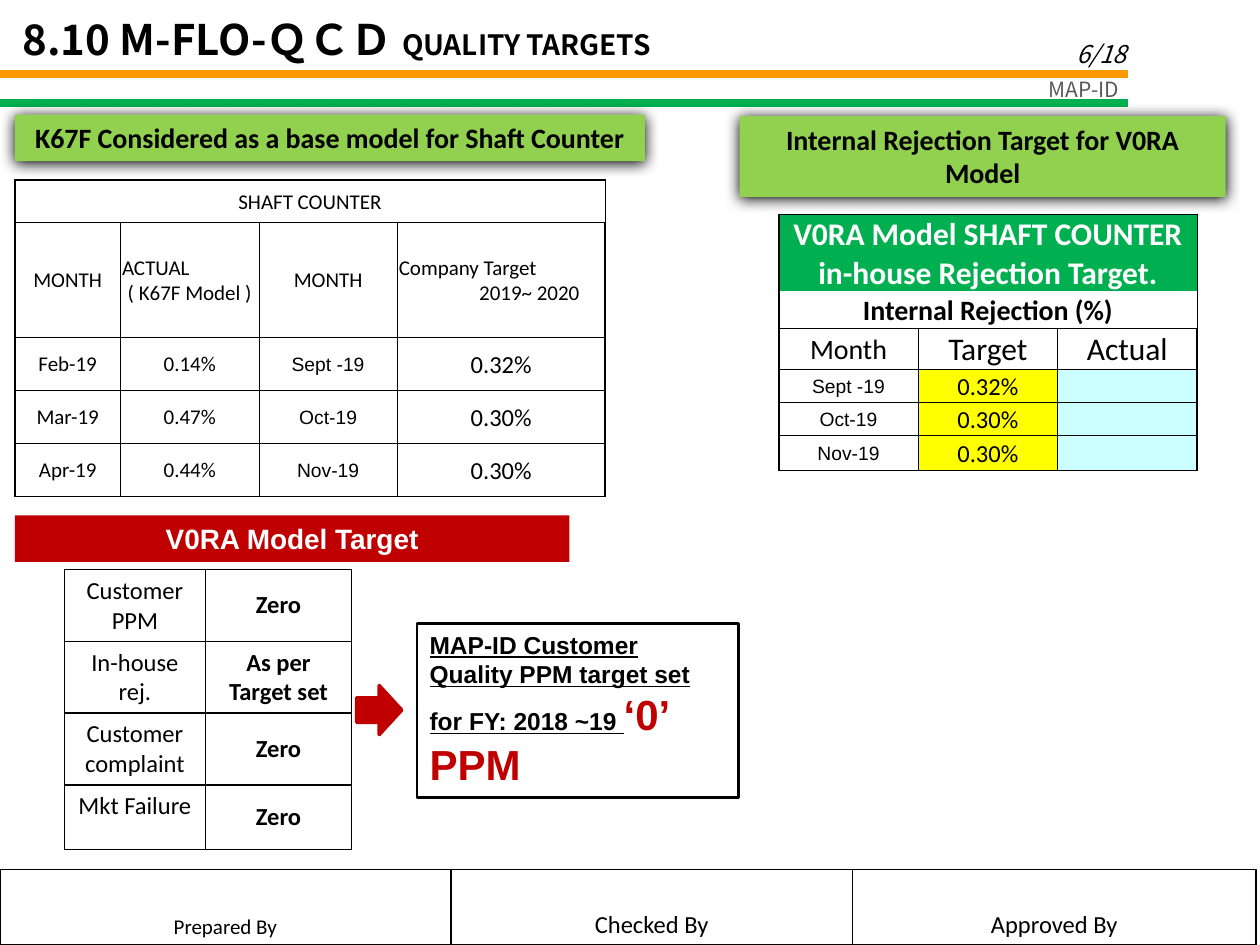
from dataclasses import dataclass
from typing import NamedTuple, Optional

from lxml.etree import SubElement
from pptx import Presentation
from pptx.dml.color import RGBColor as Rgb
from pptx.enum.shapes import MSO_CONNECTOR as Connector, MSO_SHAPE as Preset
from pptx.enum.text import MSO_ANCHOR as Anchor, MSO_AUTO_SIZE as AutoSize, PP_ALIGN as Align
from pptx.oxml.ns import qn
from pptx.util import Cm, Pt


@dataclass(frozen=True)
class Theme:
    black: str = "000000"
    white: str = "FFFFFF"
    grey: str = "595959"
    orange: str = "FF9900"
    green: str = "00B050"
    lime: str = "92D050"
    red: str = "C00000"
    yellow: str = "FFFF00"
    aqua: str = "CCFFFF"
    heading_font: str = "Noto Sans CJK JP"
    body_font: str = "Calibri"
    label_font: str = "Arial"
    tiny: int = 11
    small: int = 12
    medium: int = 14
    large: int = 16
    huge: int = 18
    title: int = 24


THEME = Theme()


class Style(NamedTuple):
    size: int = THEME.small
    font: str = THEME.body_font
    color: str = THEME.black
    bold: bool = False
    align: Align = Align.CENTER
    anchor: Anchor = Anchor.MIDDLE
    indent: float = 0


class Area(NamedTuple):
    left: float
    top: float
    width: float
    height: float

    def lengths(self) -> list:
        return [Cm(value) for value in self]


class Entry(NamedTuple):
    """A table cell; a list of lines may carry one style per line."""
    text: str
    style: Style = Style()
    fill: Optional[str] = None
    more: tuple = ()


class Grid(NamedTuple):
    left: float
    top: float
    columns: list
    rows: list
    entries: list
    margins: tuple
    inner: float = 0.5
    outer: float = 1
    merged_rows: tuple = ()
    open_below: Optional[int] = None


SMALL = Style()
MEDIUM = Style(THEME.medium)
HUGE = Style(THEME.huge)
DATE = Style(THEME.tiny, THEME.label_font)
BANNER = Style(THEME.large, bold=True, anchor=Anchor.TOP)
TIGHT = (0.03, 0.03, 0.03, 0)
ROOMY = (0.25, 0.13, 0.25, 0.13)
TARGETS = [("Sept -19", "0.32%"), ("Oct-19", "0.30%"), ("Nov-19", "0.30%")]
ACTUALS = [("Feb-19", "0.14%"), ("Mar-19", "0.47%"), ("Apr-19", "0.44%")]


def style_para(para, style: Style) -> None:
    para.alignment = style.align
    if style.indent:
        para._p.get_or_add_pPr().set("marL", str(Cm(style.indent)))
    font = para.font
    font.size, font.name, font.bold = Pt(style.size), style.font, style.bold
    font.color.rgb = Rgb.from_string(style.color)


def write(frame, text: str, style: Style) -> None:
    frame.word_wrap = True
    frame.vertical_anchor = style.anchor
    para = frame.paragraphs[0]
    para.text = text
    style_para(para, style)


def paint(shape, fill: Optional[str], line: Optional[str], width: float) -> None:
    shape.shadow.inherit = False
    if fill:
        shape.fill.solid()
        shape.fill.fore_color.rgb = Rgb.from_string(fill)
    else:
        shape.fill.background()
    if line:
        shape.line.color.rgb = Rgb.from_string(line)
        shape.line.width = Pt(width)
    else:
        shape.line.fill.background()


def add_box(shapes, area: Area, text: str = "", style: Style = BANNER, fill: Optional[str] = None,
            line: Optional[str] = None, width: float = 1, preset: Preset = Preset.RECTANGLE):
    box = shapes.add_shape(preset, *area.lengths())
    paint(box, fill, line, width)
    if text:
        write(box.text_frame, text, style)
    return box


def add_banner(shapes, area: Area, text: str) -> None:
    """Lime heading with a soft shadow below it."""
    banner = add_box(shapes, area, text, fill=THEME.lime)
    effects = banner._element.spPr.find(qn("a:effectLst"))
    shadow = SubElement(effects, qn("a:outerShdw"), blurRad=str(Pt(8.5)), dist=str(Pt(1)),
                        dir="5400000", algn="ctr", rotWithShape="0")
    SubElement(shadow, qn("a:srgbClr"), val=THEME.black)


def add_text(shapes, area: Area, text: str, style: Style) -> None:
    write(shapes.add_textbox(*area.lengths()).text_frame, text, style)


def add_rule(shapes, top: float, length: float, color: str) -> None:
    rule = shapes.add_connector(Connector.STRAIGHT, Cm(0), Cm(top), Cm(length), Cm(top))
    rule.line.color.rgb = Rgb.from_string(color)
    rule.line.width = Pt(4.5)
    SubElement(rule._element.spPr, qn("a:effectLst"))


def set_borders(cell, widths: dict) -> None:
    """Put the edge lines before the fill, as the schema asks."""
    properties = cell._tc.get_or_add_tcPr()
    for position, (edge, width) in enumerate(widths.items()):
        line = SubElement(properties, qn(f"a:{edge}"), w=str(Pt(width)))
        if width:
            SubElement(SubElement(line, qn("a:solidFill")), qn("a:srgbClr"), val=THEME.black)
        else:
            SubElement(line, qn("a:noFill"))
        properties.insert(position, line)


def fill_cell(cell, entry: Entry, margins: tuple) -> None:
    cell.margin_left, cell.margin_top, cell.margin_right, cell.margin_bottom = map(Cm, margins)
    cell.vertical_anchor = entry.style.anchor
    if entry.fill:
        cell.fill.solid()
        cell.fill.fore_color.rgb = Rgb.from_string(entry.fill)
    else:
        cell.fill.background()
    para = cell.text_frame.paragraphs[0]
    if entry.text:
        para.text = entry.text
        style_para(para, entry.style)
    else:
        SubElement(para._p, qn("a:endParaRPr"), sz=str(entry.style.size * 100))
    for text, style in entry.more:
        para = cell.text_frame.add_paragraph()
        para.text = text
        style_para(para, style)


def add_grid(shapes, grid: Grid) -> None:
    rows, columns = len(grid.rows), len(grid.columns)
    area = Area(grid.left, grid.top, sum(grid.columns), sum(grid.rows))
    table = shapes.add_table(rows, columns, *area.lengths()).table
    table.first_row = table.horz_banding = False
    for column, width in zip(table.columns, grid.columns):
        column.width = Cm(width)
    for row, height in zip(table.rows, grid.rows):
        row.height = Cm(height)
    for r in grid.merged_rows:
        table.cell(r, 0).merge(table.cell(r, columns - 1))
    for r, entries in enumerate(grid.entries):
        for c in range(columns):
            cell = table.cell(r, c)
            fill_cell(cell, entries[c] if c < len(entries) else Entry(""), grid.margins)
            top = 0 if grid.open_below == r - 1 else grid.inner
            bottom = 0 if grid.open_below == r else grid.inner
            set_borders(cell, {"lnL": grid.inner if c else grid.outer,
                               "lnR": grid.inner if c < columns - 1 else grid.outer,
                               "lnT": top if r else grid.outer,
                               "lnB": bottom if r < rows - 1 else grid.outer})


def add_title(slide) -> None:
    title = slide.shapes.title
    title.left, title.top, title.width, title.height = Area(0.2, 0.15, 22.56, 1.27).lengths()
    frame = title.text_frame
    frame.auto_size = AutoSize.NONE
    write(frame, "", Style(THEME.title, THEME.heading_font, bold=True, align=Align.LEFT))
    for text, size in (("8.10 M-FLO-ＱＣＤ ", THEME.title), ("QUALITY TARGETS", THEME.large)):
        run = frame.paragraphs[0].add_run()
        run.text, run.font.size = text, Pt(size)
        SubElement(run.font._element, qn("a:ea"), typeface=THEME.heading_font)


def add_quality_goal(shapes) -> None:
    style = Style(THEME.medium, THEME.label_font, bold=True, align=Align.LEFT, anchor=Anchor.TOP)
    box = add_box(shapes, Area(8.41, 12.57, 6.48, 3.51), "MAP-ID Customer Quality PPM target set for FY: 2018 ~19 ",
                  style, line=THEME.black, width=1.5)
    para = box.text_frame.paragraphs[0]
    para.runs[0].font.underline = True
    goal = para.add_run()
    goal.text, goal.font.size = "‘0’ PPM", Pt(THEME.title)
    goal.font.color.rgb = Rgb.from_string(THEME.red)


def shaft_grid() -> Grid:
    left = SMALL._replace(align=Align.LEFT)
    headings = [Entry("MONTH"), Entry("ACTUAL", left, more=(("( K67F Model )", SMALL),)), Entry("MONTH"),
                Entry("Company Target", left, more=(("2019~ 2020", SMALL._replace(indent=1.13)),))]
    body = [[Entry(past), Entry(actual), Entry(month, DATE), Entry(target, MEDIUM)]
            for (past, actual), (month, target) in zip(ACTUALS, TARGETS)]
    return Grid(0.3, 3.63, [2.13, 2.79, 2.79, 4.19], [0.86, 2.31] + [1.07] * 3,
                [[Entry("SHAFT COUNTER")], headings, *body], TIGHT, merged_rows=(0,))


def rejection_grid() -> Grid:
    heading = Entry("V0RA Model SHAFT COUNTER in-house Rejection Target.",
                    HUGE._replace(color=THEME.white, bold=True), THEME.green)
    names = [Entry("Month", Style(THEME.large)), Entry("Target", HUGE), Entry("Actual", HUGE)]
    body = [[Entry(month, DATE), Entry(target, MEDIUM, THEME.yellow), Entry("", DATE, THEME.aqua)]
            for month, target in TARGETS]
    return Grid(15.7, 4.32, [2.81] * 3, [1.52, 0.74, 0.84, 0.66, 0.66, 0.71],
                [[heading], [Entry("Internal Rejection (%)", Style(THEME.large, bold=True))], names, *body],
                TIGHT, merged_rows=(0, 1), open_below=0)


def goal_grid() -> Grid:
    goals = [("Customer PPM", "Zero"), ("In-house rej.", "As per Target set"),
             ("Customer complaint", "Zero"), ("Mkt Failure", "Zero")]
    entries = [[Entry(name, MEDIUM._replace(anchor=Anchor.TOP)), Entry(goal, MEDIUM._replace(bold=True))]
               for name, goal in goals]
    return Grid(1.3, 11.48, [2.84, 2.95], [1.44] * 3 + [1.3], entries, ROOMY, inner=1)


def add_sign_off(shapes) -> None:
    group, left = shapes.add_group_shape(), 0
    for text, width, size in (("Prepared By", 9.09, THEME.small), ("Checked By", 8.1, THEME.medium),
                              ("Approved By", 8.13, THEME.medium)):
        add_box(group.shapes, Area(left, 17.53, width, 1.52), text, Style(size, anchor=Anchor.BOTTOM),
                line=THEME.black, width=0.75)
        left += width


def main() -> None:
    deck = Presentation()
    deck.slide_width, deck.slide_height = Cm(25.4), Cm(19.05)
    slide = deck.slides.add_slide(deck.slide_layouts[5])
    shapes = slide.shapes
    page_style = Style(THEME.medium, THEME.heading_font, align=Align.RIGHT, anchor=Anchor.BOTTOM)
    add_text(shapes, Area(17.68, 0.23, 5.28, 1.27), "6/18", page_style)
    shapes[-1].text_frame.paragraphs[0].font.italic = True
    add_rule(shapes, 1.5, 22.73, THEME.orange)
    add_rule(shapes, 2.08, 22.73, THEME.green)
    add_text(shapes, Area(19, 1.42, 3.81, 0.76), "MAP-ID",
             page_style._replace(size=THEME.small, color=THEME.grey, anchor=Anchor.TOP))
    add_title(slide)
    add_grid(shapes, goal_grid())
    add_box(shapes, Area(0.3, 10.39, 11.18, 0.94), "V0RA Model Target",
            BANNER._replace(font=THEME.label_font, color=THEME.white), fill=THEME.red)
    add_box(shapes, Area(7.19, 13.82, 0.91, 0.99), fill=THEME.red, line=THEME.red, width=2,
            preset=Preset.RIGHT_ARROW)
    add_quality_goal(shapes)
    add_grid(shapes, rejection_grid())
    add_banner(shapes, Area(14.91, 2.34, 9.8, 1.63), "Internal Rejection Target for V0RA Model")
    add_grid(shapes, shaft_grid())
    add_banner(shapes, Area(0.3, 2.31, 12.7, 0.94), "K67F Considered as a base model for Shaft Counter")
    add_sign_off(shapes)
    deck.save("out.pptx")


if __name__ == "__main__":
    main()
